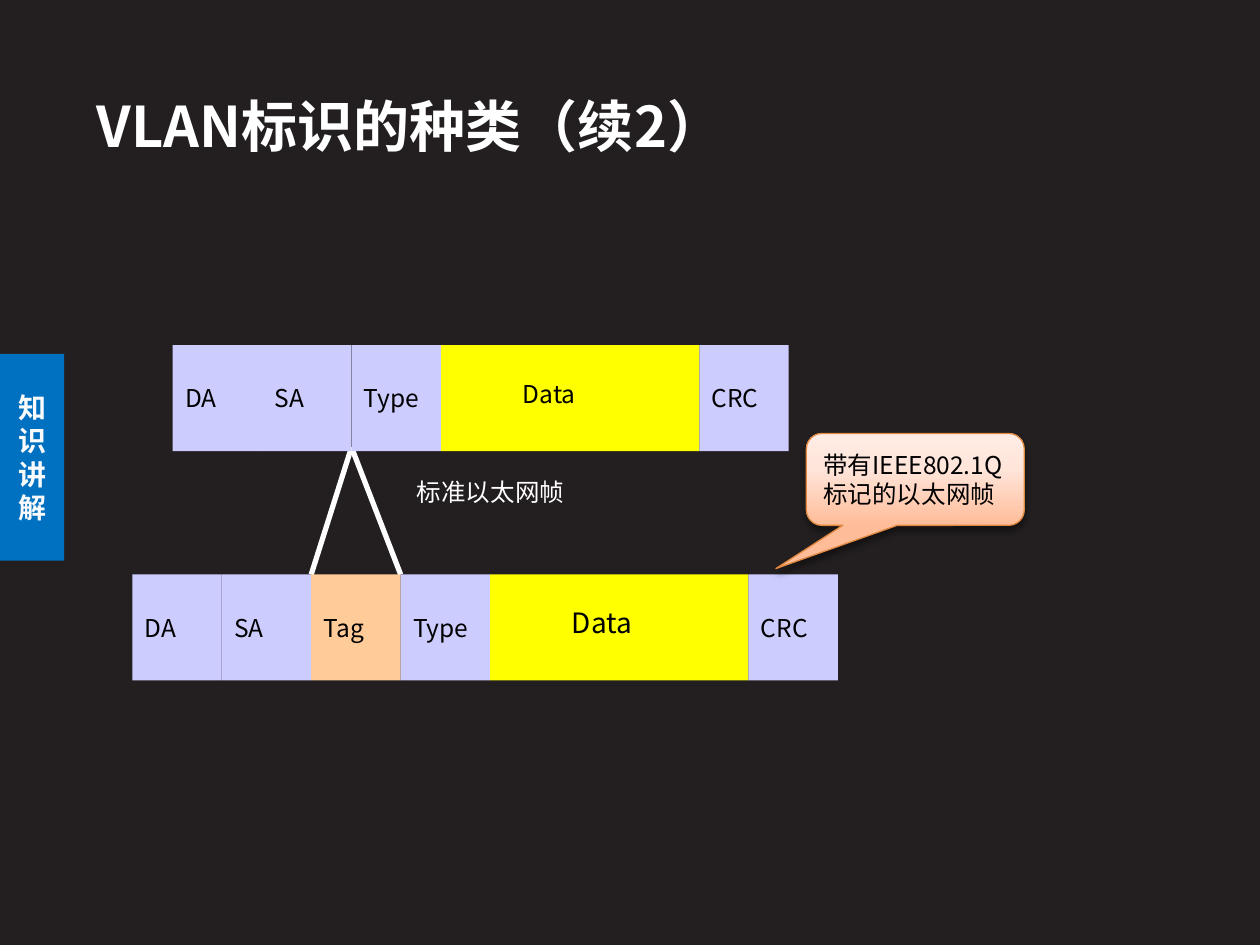
from dataclasses import dataclass
from lxml import etree
from pptx import Presentation, util as u
from pptx.dml.color import RGBColor
from pptx.enum import shapes as sh, text as tx
from pptx.oxml import parse_xml
from pptx.oxml.ns import qn

# The slide is a grid of 100 columns by 75 rows
COLS, ROWS = 100, 75
UNIT = u.Inches(10) // COLS
FONT = "Noto Sans CJK SC"
WHITE, BLACK, LILAC, YELLOW, PEACH = "FFFFFF", "000000", "CCCCFF", "FFFF00", "FFCC99"
NS = 'xmlns:a="http://schemas.openxmlformats.org/drawingml/2006/main"'
KIND = sh.MSO_SHAPE


@dataclass
class Box:
    col: float
    row: float
    wide: float
    high: float

    def emu(self) -> list[int]:
        return [span(n) for n in (self.col, self.row, self.wide, self.high)]


@dataclass
class Cell:
    name: str
    fill: str = LILAC
    wide: float = 7.1


@dataclass
class Frame:
    col: float
    row: float
    cells: list[Cell]
    drop: float  # rows from the top of the frame to the data label
    size: int    # data label size


def span(n: float) -> int:
    return round(n * UNIT)


def color(code: str) -> RGBColor:
    return RGBColor.from_string(code)


def write(item, words: str, size: int, ink: str = BLACK, bold: bool = False,
          wrap: bool = True, mid: bool = True, align=tx.PP_ALIGN.LEFT) -> None:
    body = item.text_frame
    body.word_wrap = wrap
    body.vertical_anchor = tx.MSO_ANCHOR.MIDDLE if mid else tx.MSO_ANCHOR.TOP
    para = body.paragraphs[0]
    para.alignment = align
    run = para.add_run()
    run.text = words
    font = run.font
    font.size, font.bold, font.name = u.Pt(size), bold, FONT
    font.color.rgb = color(ink)
    etree.SubElement(run._r.get_or_add_rPr(), qn("a:ea"), typeface=FONT)


def label(slide, box: Box, words: str, size: int, **style) -> None:
    write(slide.shapes.add_textbox(*box.emu()), words, size, **style)


def block(slide, kind, box: Box, fill: str):
    item = slide.shapes.add_shape(kind, *box.emu())
    item.shadow.inherit = False
    item.fill.solid()
    item.fill.fore_color.rgb = color(fill)
    item.line.fill.background()
    return item


def line(slide, start: tuple, end: tuple, width: float) -> None:
    ends = [span(n) for n in (*start, *end)]
    item = slide.shapes.add_connector(sh.MSO_CONNECTOR.STRAIGHT, *ends)
    item.line.color.rgb = color(WHITE)
    item.line.width = u.Pt(width)
    etree.SubElement(item._element.spPr, qn("a:effectLst"))


def draw(slide, frame: Frame) -> None:
    col = frame.col
    for cell in frame.cells:
        item = block(slide, KIND.RECTANGLE, Box(col, frame.row, cell.wide, 8.4), cell.fill)
        if cell.name == "Data":
            label(slide, Box(col + 5.5, frame.row + frame.drop, 7, 3.5), cell.name,
                  frame.size, wrap=False, mid=False)
        else:
            write(item, cell.name, 14, wrap=False)
        col += cell.wide


def callout(slide, box: Box, words: str) -> None:
    item = block(slide, KIND.ROUNDED_RECTANGULAR_CALLOUT, box, PEACH)
    for i, n in enumerate((-0.64, 0.97, 0.17)):
        item.adjustments[i] = n
    item.line.color.rgb = color("E08840")
    item.line.width = u.Pt(0.75)
    # Three-stop gradient and soft shadow
    stops = "".join(f'<a:gs pos="{at * 1000}"><a:srgbClr val="{code}"/></a:gs>'
                    for at, code in ((0, "FFBC99"), (62, "FFE5DA"), (100, "FFECE5")))
    grad = parse_xml(f'<a:gradFill {NS} rotWithShape="1"><a:gsLst>{stops}</a:gsLst>'
                     '<a:lin ang="16200000" scaled="0"/></a:gradFill>')
    glow = parse_xml(f'<a:outerShdw {NS} blurRad="{u.Pt(4)}" dist="{u.Pt(3)}" dir="5400000" '
                     'rotWithShape="0"><a:srgbClr val="000000"><a:alpha val="43000"/>'
                     '</a:srgbClr></a:outerShdw>')
    props = item._element.spPr
    props.replace(props.find(qn("a:solidFill")), grad)
    props.find(qn("a:effectLst")).append(glow)
    write(item, words, 14)


def main() -> None:
    deck = Presentation()
    deck.slide_width, deck.slide_height = span(COLS), span(ROWS)
    slide = deck.slides.add_slide(deck.slide_layouts[6])
    back = slide.background.fill
    back.solid()
    back.fore_color.rgb = color("231F20")

    # Side tab
    tab = block(slide, KIND.RECTANGLE, Box(0, 28.1, 5.1, 16.4), "0070C0")
    write(tab, "知识讲解", 16, ink="F9FAFB", bold=True, align=tx.PP_ALIGN.CENTER)

    # Title and caption
    label(slide, Box(6.7, 6, 74, 7.8), "VLAN标识的种类（续2）", 32, ink=WHITE, bold=True)
    label(slide, Box(32.1, 37.4, 20.2, 3.4), "标准以太网帧", 14, ink=WHITE, mid=False)

    # Where the tag goes in
    for col in (24.7, 31.8):
        line(slide, (27.9, 35.5), (col, 45.6), 3)

    # Plain frame and tagged frame
    head = [Cell("DA"), Cell("SA")]
    tail = [Cell("Type"), Cell("Data", YELLOW, 20.5), Cell("CRC")]
    draw(slide, Frame(13.7, 27.4, head + tail, 2.2, 14))
    draw(slide, Frame(10.5, 45.6, head + [Cell("Tag", PEACH)] + tail, 2, 16))

    callout(slide, Box(64, 34.4, 17.3, 7.3), "带有IEEE802.1Q标记的以太网帧")
    deck.save("out.pptx")


if __name__ == "__main__":
    main()
